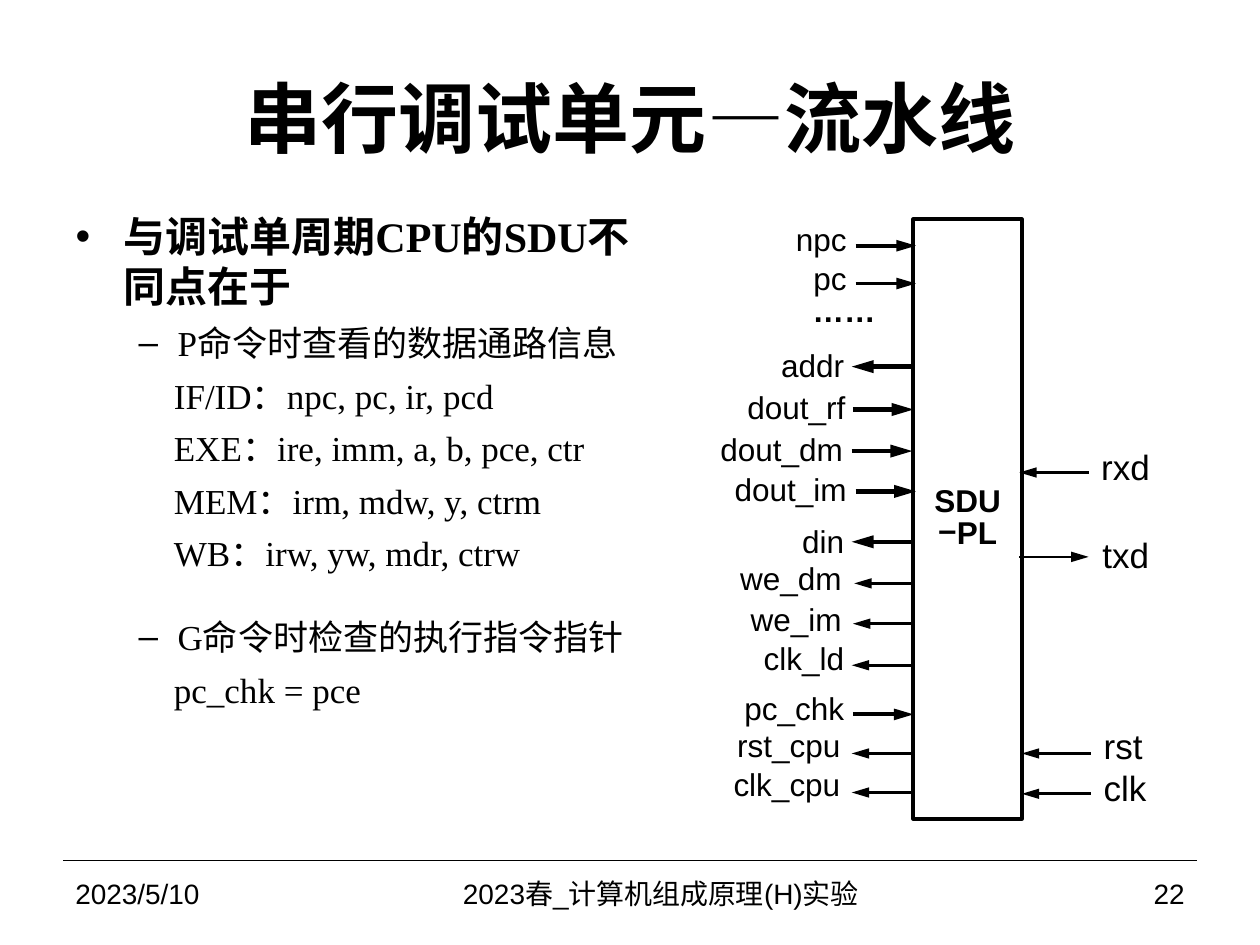
from lxml.etree import SubElement
from pptx import Presentation
from pptx.dml.color import RGBColor
from pptx.enum.shapes import MSO_CONNECTOR, MSO_SHAPE
from pptx.enum.text import MSO_ANCHOR, MSO_AUTO_SIZE, PP_ALIGN
from pptx.oxml.ns import qn
from pptx.util import Pt

PX = 9144  # 100 px to the inch
BLACK = "000000"
LEFT, MID, RIGHT = PP_ALIGN.LEFT, PP_ALIGN.CENTER, PP_ALIGN.RIGHT


def color(code):
    return RGBColor.from_string(code)


def write(para, text, size, **extra):
    run = para.add_run()
    run.text = text
    form = {"name": "Arial", "size": Pt(size), "bold": False, **extra}
    for key, val in form.items():
        setattr(run.font, key, val)
    run.font.color.rgb = color(BLACK)


deck = Presentation()
deck.slide_width, deck.slide_height = 1000 * PX, 750 * PX
slide = deck.slides.add_slide(deck.slide_layouts[1])
shapes = slide.shapes

# Title
title, body = shapes.title, slide.placeholders[1]
places = [(title, (50, 30, 900, 125), MSO_ANCHOR.MIDDLE),
          (body, (50, 162, 488, 521), MSO_ANCHOR.TOP)]
for holder, box, anchor in places:
    for key, val in zip(("left", "top", "width", "height"), box):
        setattr(holder, key, val * PX)
    frame = holder.text_frame
    frame.auto_size, frame.vertical_anchor = MSO_AUTO_SIZE.NONE, anchor
    frame.word_wrap = True
head = title.text_frame.paragraphs[0]
head.alignment = MID
write(head, "串行调试单元", 44, bold=True)
write(head, "—", 44, name="Noto Sans CJK SC")
write(head, "流水线", 44, bold=True)

# Bullet list: text, level, size, left margin, indent, space before, bullet
points = [
    ("与调试单周期CPU的SDU不同点在于", 0, 24, 38, -38, 6, "•"),
    ("P命令时查看的数据通路信息", 1, 20, 81, -31, 6, "–"),
    ("IF/ID：npc, pc, ir, pcd", 1, 20, 78, 0, 6, None),
    ("EXE：ire, imm, a, b, pce, ctr", 1, 20, 78, 0, 6, None),
    ("MEM：irm, mdw, y, ctrm", 1, 20, 78, 0, 6, None),
    ("WB：irw, yw, mdr, ctrw", 1, 20, 78, 0, 6, None),
    ("G命令时检查的执行指令指针", 1, 20, 81, -31, 24, "–"),
    ("pc_chk = pce", 1, 20, 78, 0, 6, None),
]
frame = body.text_frame
for num, (text, level, size, margin, indent, gap, mark) in enumerate(points):
    para = frame.add_paragraph() if num else frame.paragraphs[0]
    para.level, para.space_before = level, Pt(gap)
    props = para._p.get_or_add_pPr()
    props.set("marL", str(margin * PX))
    props.set("indent", str(indent * PX))
    if mark:
        SubElement(props, qn("a:buChar")).set("char", mark)
    else:
        SubElement(props, qn("a:buNone"))
    write(para, text, size, name="Times New Roman", bold=level == 0)

# Debug unit block
unit = shapes.add_shape(MSO_SHAPE.RECTANGLE, 725 * PX, 174 * PX, 86 * PX, 476 * PX)
unit.shadow.inherit = False
unit.fill.background()
unit.line.color.rgb = color(BLACK)
unit.line.width = Pt(2.25)
frame = unit.text_frame
frame.word_wrap, frame.vertical_anchor = False, MSO_ANCHOR.MIDDLE
for side in ("left", "top", "right", "bottom"):
    setattr(frame, "margin_" + side, 0)
for para in (frame.paragraphs[0], frame.add_paragraph()):
    para.alignment, para.line_spacing = MID, Pt(18)
write(frame.paragraphs[0], "SDU", 18, bold=True)
write(para, "−", 18, bold=True, name="Noto Sans CJK SC")
write(para, "PL", 18, bold=True)

# Left signals: name, label left, top, width, arrow left, y, weight, arrow end
pins = [
    ("npc", 631, 175, 41, 679, 195, 2.25, "tail"),
    ("pc", 645, 206, 27, 679, 225, 2.25, "tail"),
    ("addr", 620, 275, 50, 676, 291, 2.5, "head"),
    ("dout_rf", 592, 308, 79, 677, 325, 2.5, "tail"),
    ("dout_dm", 571, 341, 98, 676, 358, 2.5, "tail"),
    ("dout_im", 582, 373, 90, 679, 390, 2.5, "tail"),
    ("din", 636, 414, 34, 676, 430, 2.5, "head"),
    ("we_dm", 587, 444, 81, 678, 463, 1.5, "head"),
    ("we_im", 595, 476, 73, 677, 495, 1.5, "head"),
    ("clk_ld", 605, 507, 65, 676, 528, 1.5, "head"),
    ("pc_chk", 590, 547, 80, 677, 567, 2.25, "tail"),
    ("rst_cpu", 584, 576, 83, 676, 598, 1.5, "head"),
    ("clk_cpu", 581, 607, 86, 676, 629, 1.5, "head"),
]
# Right signals: name, label left, top, arrow left, y, arrow end
ports = [
    ("rxd", 874, 349, 809, 375, "head"),
    ("txd", 875, 419, 809, 442, "tail"),
    ("rst", 876, 571, 811, 598, "head"),
    ("clk", 876, 604, 811, 630, "head"),
]
labels = [(name, x, y, w, 30, 18, RIGHT, False) for name, x, y, w, *_ in pins]
labels += [("……", 645, 231, 50, 30, 18, RIGHT, True)]
labels += [(name, x, y, 40, 42, 20, LEFT, False) for name, x, y, *_ in ports]
wires = [(x, y, 48, weight, end) for *_, x, y, weight, end in pins]
wires += [(x, y, 55, 1.5, end) for *_, x, y, end in ports]
wires += [(50, 683, 900, 0.75, None)]  # footer rule

# Arrows and rule
for x, y, size, weight, end in wires:
    wire = shapes.add_connector(MSO_CONNECTOR.STRAIGHT, x * PX, y * PX, (x + size) * PX, y * PX)
    wire.line.color.rgb = color(BLACK)
    wire.line.width = Pt(weight)
    if end:
        tip = SubElement(wire.line._get_or_add_ln(), qn(f"a:{end}End"))
        for key, val in {"type": "triangle", "w": "med", "len": "lg"}.items():
            tip.set(key, val)
    SubElement(wire._element.spPr, qn("a:effectLst"))

# Signal labels and footer
foot = [
    ("2023/5/10", 50, 683, 233, 52, 16, LEFT, False),
    ("2023春_计算机组成原理(H)实验", 283, 683, 483, 52, 16, MID, False),
    ("22", 767, 683, 183, 52, 16, RIGHT, False),
]
for text, x, y, wide, high, size, align, bold in labels + foot:
    frame = shapes.add_textbox(x * PX, y * PX, wide * PX, high * PX).text_frame
    frame.vertical_anchor = MSO_ANCHOR.MIDDLE
    frame.word_wrap = size == 16
    if size > 16:
        for side in ("left", "top", "right", "bottom"):
            setattr(frame, "margin_" + side, 0)
    frame.paragraphs[0].alignment = align
    write(frame.paragraphs[0], text, size, bold=bold)

deck.save("out.pptx")
